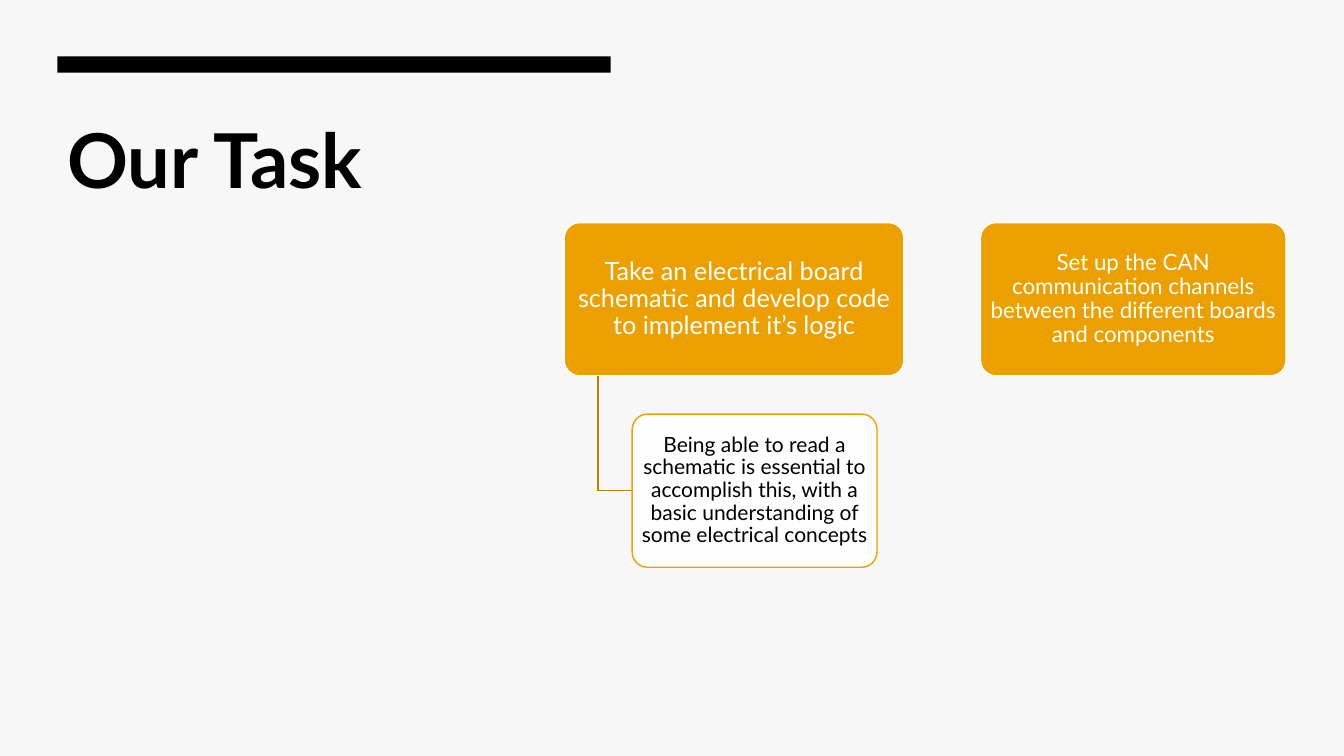
from lxml import etree
from pptx import Presentation
from pptx.dml.color import RGBColor
from pptx.enum import shapes, text
from pptx.oxml import ns
from pptx.util import Cm, Pt

TITLE = "Our Task"
TASKS = [
    {"text": "Take an electrical board schematic and develop code to implement it’s logic",
     "width": 8.56, "size": 18, "inset": (0.1, 0.08),
     "detail": {"text": "Being able to read a schematic is essential to accomplish this, "
                        "with a basic understanding of some electrical concepts",
                "width": 6.17, "size": 15, "inset": (0.08, 0.05)}},
    {"text": "Set up the CAN communication channels between the different boards and components",
     "width": 7.7, "size": 16, "inset": (0.08, 0.05)},
]
COLORS = {"background": "F7F7F7", "black": "000000", "white": "FFFFFF",
          "amber": "EBA000", "branch": "BC8000"}
FONT = "Lato"
MARGIN, COLUMN = 1.45, 13.94
TASKS_LEFT, TASKS_TOP, BOX_HEIGHT = 14.22, 5.61, 3.86


def rgb(name):
    return RGBColor.from_string(COLORS[name])


def write(frame, content, size, color, bold=False, align=text.PP_ALIGN.LEFT,
          anchor=text.MSO_ANCHOR.TOP, inset=(0.25, 0.13), spacing=1.0):
    frame.word_wrap = True
    frame.vertical_anchor = anchor
    frame.margin_left = frame.margin_right = Cm(inset[0])
    frame.margin_top = frame.margin_bottom = Cm(inset[1])
    paragraph = frame.paragraphs[0]
    paragraph.alignment = align
    paragraph.line_spacing = spacing
    run = paragraph.add_run()
    run.text = content
    run.font.name, run.font.size, run.font.bold = FONT, Pt(size), bold
    run.font.color.rgb = rgb(color)


def add_box(slide, item, left, top, fill, line, color, opacity=None):
    box = slide.shapes.add_shape(shapes.MSO_SHAPE.ROUNDED_RECTANGLE, Cm(left), Cm(top),
                                 Cm(item["width"]), Cm(BOX_HEIGHT))
    box.adjustments[0] = 0.1
    box.shadow.inherit = False
    box.fill.solid()
    box.fill.fore_color.rgb = rgb(fill)
    if opacity:
        fill_color = box.fill._xPr.find(ns.qn("a:solidFill"))[0]
        etree.SubElement(fill_color, ns.qn("a:alpha"), val=str(opacity * 1000))
    box.line.color.rgb = rgb(line)
    box.line.width = Pt(1)
    write(box.text_frame, item["text"], item["size"], color, inset=item["inset"],
          align=text.PP_ALIGN.CENTER, anchor=text.MSO_ANCHOR.MIDDLE, spacing=0.9)


def add_branch(slide, left, top, right, bottom):
    """Draw an open L-shaped line from a task down to its detail."""
    builder = slide.shapes.build_freeform(Cm(left), Cm(top))
    builder.add_line_segments([(Cm(left), Cm(bottom)), (Cm(right), Cm(bottom))], close=False)
    branch = builder.convert_to_shape()
    branch.shadow.inherit = False
    branch.fill.background()
    branch.line.color.rgb = rgb("branch")
    branch.line.width = Pt(1)


def main():
    deck = Presentation()
    deck.slide_width, deck.slide_height = Cm(33.87), Cm(19.05)
    slide = deck.slides.add_slide(deck.slide_layouts[6])
    slide.background.fill.solid()
    slide.background.fill.fore_color.rgb = rgb("background")

    bar = slide.shapes.add_shape(shapes.MSO_SHAPE.RECTANGLE, Cm(MARGIN), Cm(1.42),
                                 Cm(COLUMN), Cm(0.41))
    bar.shadow.inherit = False
    bar.fill.solid()
    bar.fill.fore_color.rgb = rgb("black")
    bar.line.fill.background()

    title = slide.shapes.add_textbox(Cm(MARGIN), Cm(2.72), Cm(COLUMN), Cm(13.54))
    write(title.text_frame, TITLE, 54, "black", bold=True)

    left = TASKS_LEFT
    for task in TASKS:
        add_box(slide, task, left, TASKS_TOP, "amber", "white", "white")
        if "detail" in task:
            task_bottom = TASKS_TOP + BOX_HEIGHT
            detail_left = left + task["width"] / 5
            detail_top = task_bottom + BOX_HEIGHT / 4
            add_branch(slide, left + task["width"] / 10, task_bottom,
                       detail_left, detail_top + BOX_HEIGHT / 2)
            add_box(slide, task["detail"], detail_left, detail_top,
                    "white", "amber", "black", opacity=90)
        left += task["width"] + BOX_HEIGHT / 2

    deck.save("out.pptx")


if __name__ == "__main__":
    main()
